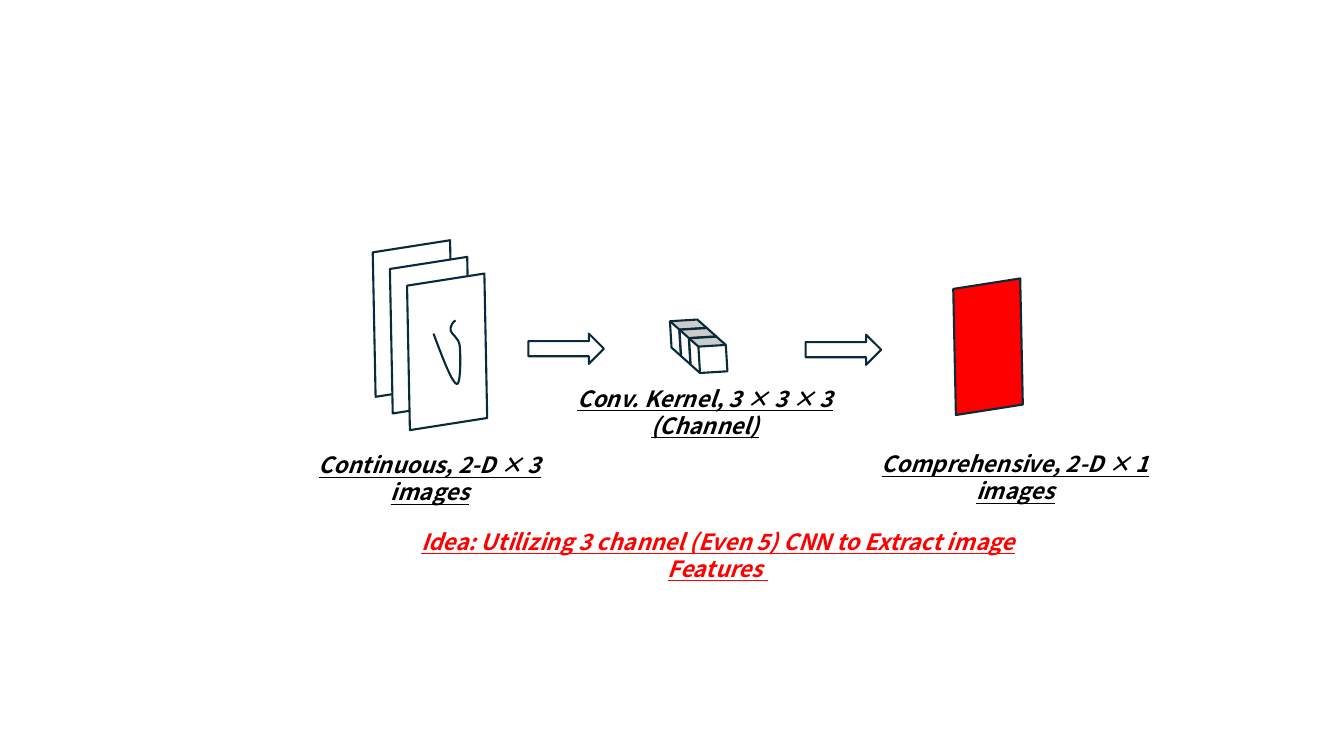
from pptx import Presentation
from pptx.util import Inches, Pt
from pptx.dml.color import RGBColor
from pptx.enum.shapes import MSO_SHAPE as Kind
from pptx.enum.text import PP_ALIGN as Align, MSO_AUTO_SIZE as Fit
from pptx.oxml.ns import qn
from lxml.etree import SubElement

INK = "092A39"
FONT = "Noto Sans CJK SC"


def color(code):
    return RGBColor.from_string(code)


def style(shape, fill=None):
    shape.shadow.inherit = False
    if fill:
        shape.fill.solid()
        shape.fill.fore_color.rgb = color(fill)
    else:
        shape.fill.background()
    shape.line.color.rgb = color(INK)
    shape.line.width = Pt(1.5)


deck = Presentation()
deck.slide_width, deck.slide_height = Inches(13.33), Inches(7.5)
slide = deck.slides.add_slide(deck.slide_layouts[6])
shapes = slide.shapes

start = (0.35, 0.53)
bends = [
    (0.44, 0.77), (0.53, 1.01), (0.58, 1.03),
    (0.62, 1.05), (0.62, 0.74), (0.61, 0.65),
    (0.60, 0.57), (0.53, 0.54), (0.52, 0.50),
    (0.51, 0.46), (0.55, 0.40), (0.57, 0.40),
]
for n in range(3):
    left, top = 3.61 + 0.17 * n, 2.45 + 0.165 * n
    group = shapes.add_group_shape()
    sheet = group.shapes.add_shape(Kind.FLOWCHART_DATA, Inches(left), Inches(top),
                                   Inches(0.97), Inches(1.42))
    sheet.rotation = 351.1
    style(sheet, "FFFFFF")
    pen = group.shapes.build_freeform(Inches(left + start[0]), Inches(top + start[1]))
    pen.add_line_segments([(Inches(left + x), Inches(top + y)) for x, y in bends], close=False)
    stroke = pen.convert_to_shape()
    style(stroke)
    lines = list(stroke._element.iter(qn("a:lnTo")))
    for k in range(0, len(lines), 3):
        curve = SubElement(lines[k].getparent(), qn("a:cubicBezTo"))
        for line in lines[k:k + 3]:
            curve.append(line[0])
            line.getparent().remove(line)

labels = [
    ("Idea: Utilizing 3 channel (Even 5) CNN to Extract image Features ",
     3.74, 5.19, 6.76, "FF0000"),
    ("Continuous, 2-D × 3 images", 2.73, 4.43, 3.07, "000000"),
    ("Conv. Kernel, 3 × 3 × 3 (Channel)", 5.21, 3.77, 3.57, "000000"),
    ("Comprehensive, 2-D × 1 images", 8.33, 4.42, 3.48, "000000"),
]
for text, left, top, width, ink in labels:
    box = shapes.add_textbox(Inches(left), Inches(top), Inches(width), Inches(0.37))
    frame = box.text_frame
    frame.word_wrap = True
    frame.auto_size = Fit.SHAPE_TO_FIT_TEXT
    para = frame.paragraphs[0]
    para.alignment = Align.CENTER
    run = para.add_run()
    run.text = text
    font = run.font
    font.name, font.size = FONT, Pt(16)
    font.bold = font.italic = font.underline = True
    font.color.rgb = color(ink)

kernel = shapes.add_group_shape()
for n in range(3):
    cube = kernel.shapes.add_shape(Kind.CUBE, Inches(6.66 + 0.095 * n),
                                   Inches(3.17 + 0.085 * n), Inches(0.35), Inches(0.36))
    cube.rotation = 266.5
    style(cube, "FFFFFF")

result = shapes.add_shape(Kind.FLOWCHART_DATA, Inches(9.38), Inches(2.82),
                          Inches(0.84), Inches(1.24))
result.rotation = 351.1
style(result, "FF0000")

for left, top in [(7.99, 3.32), (5.24, 3.31)]:
    style(shapes.add_shape(Kind.RIGHT_ARROW, Inches(left), Inches(top),
                           Inches(0.75), Inches(0.3)))

deck.save("out.pptx")
